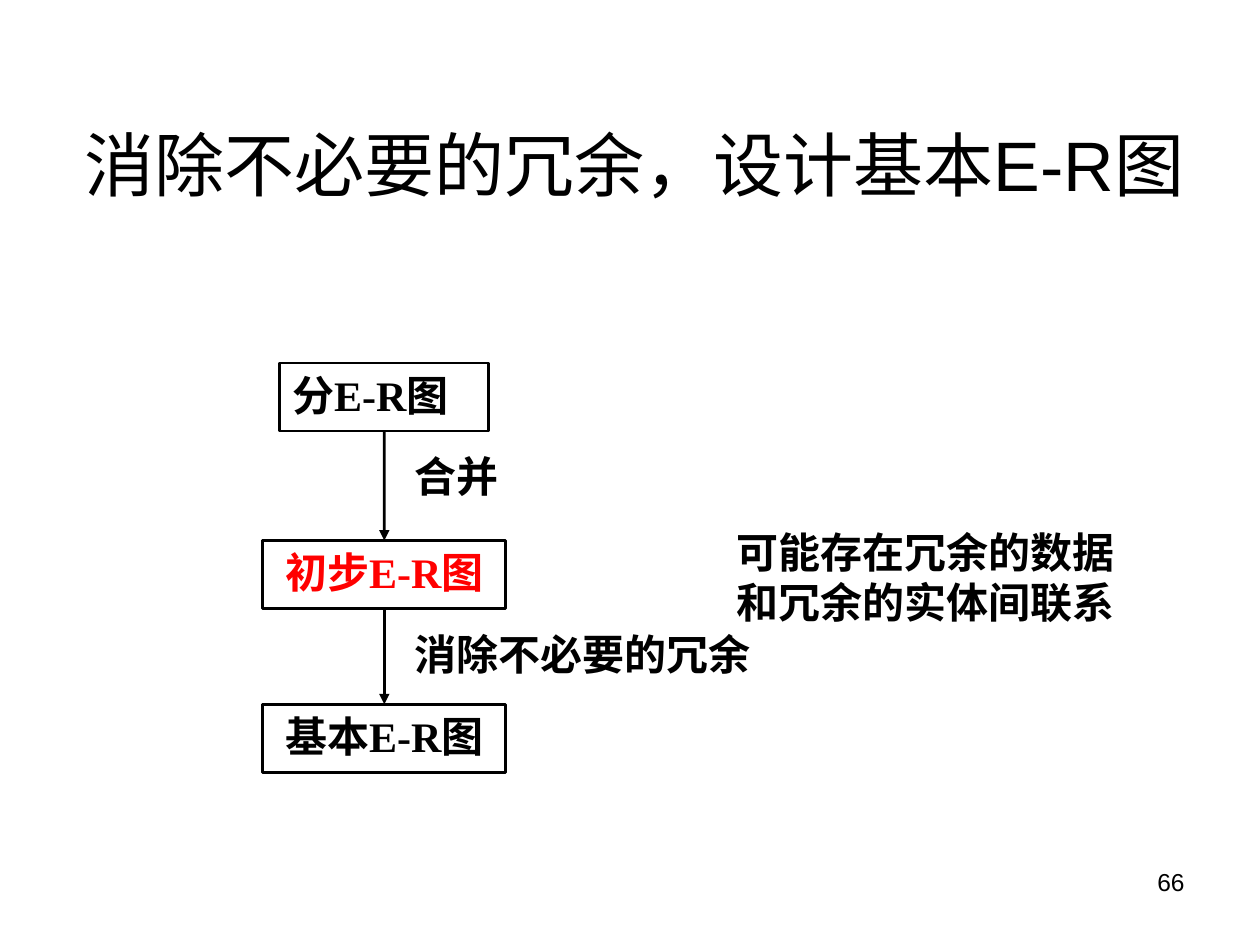
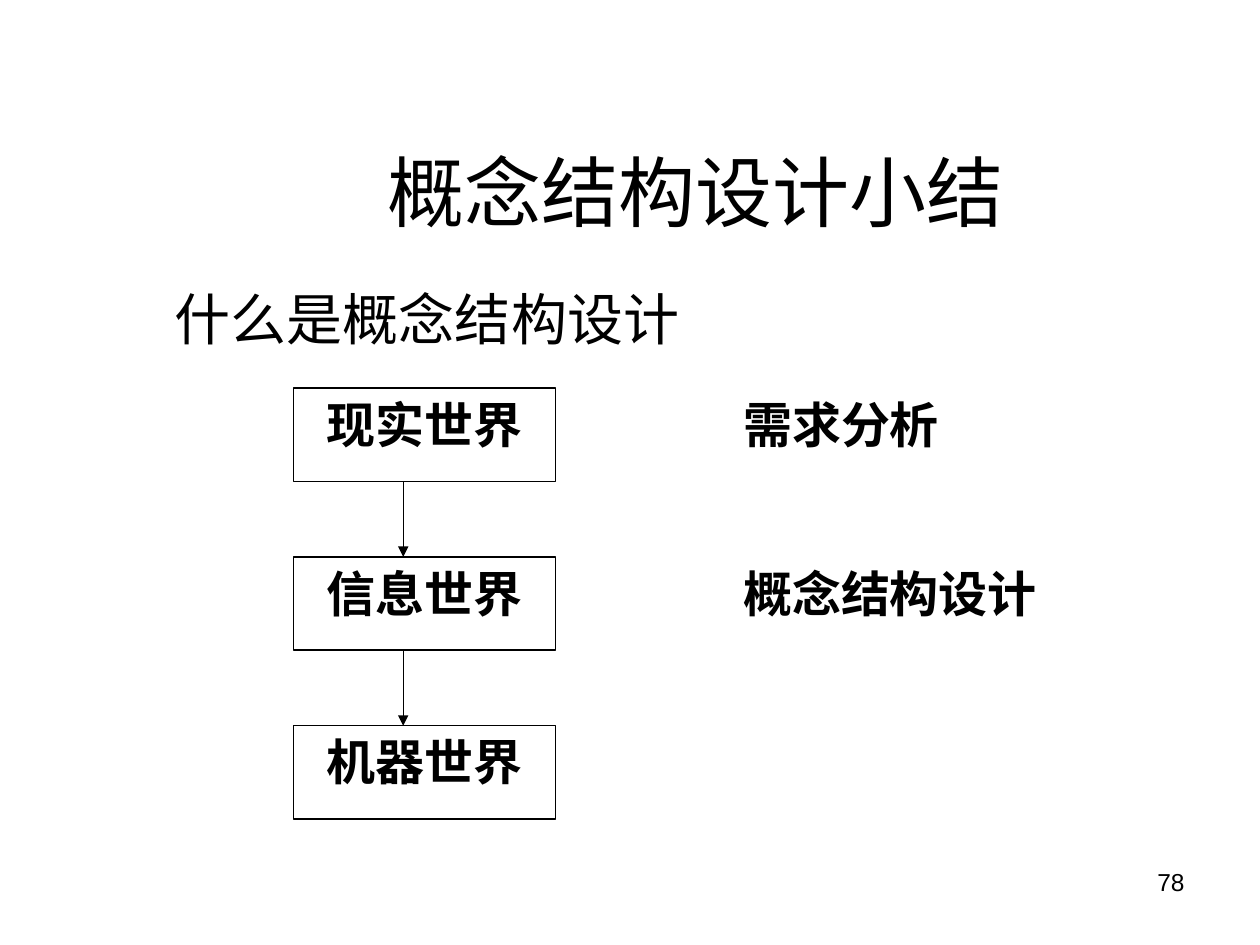
from lxml import etree
from pptx import Presentation
from pptx.dml.color import RGBColor
from pptx.enum import shapes, text
from pptx.oxml import ns
from pptx.util import Inches, Pt

BLACK = RGBColor(0, 0, 0)
RED = RGBColor(255, 0, 0)
LEFT, CENTER, RIGHT, JUSTIFY = (
    text.PP_ALIGN.LEFT, text.PP_ALIGN.CENTER, text.PP_ALIGN.RIGHT, text.PP_ALIGN.JUSTIFY)
TOP, MIDDLE, BOTTOM = (
    text.MSO_ANCHOR.TOP, text.MSO_ANCHOR.MIDDLE, text.MSO_ANCHOR.BOTTOM)
PLAIN = {"name": "Arial", "bold": False}
DIAGRAM = {"name": "Times New Roman", "bold": True}


def write(shape, lines, size, style, align=JUSTIFY, anchor=TOP, color=BLACK, wrap=True):
    frame = shape.text_frame
    frame.word_wrap = wrap
    frame.vertical_anchor = anchor
    frame.text = lines
    for paragraph in frame.paragraphs:
        paragraph.alignment = align
        for name, value in {**style, "size": Pt(size)}.items():
            setattr(paragraph.font, name, value)
        paragraph.font.color.rgb = color


def add_text(slide, box, lines, size, style, **options):
    shape = slide.shapes.add_textbox(*map(Inches, box))
    write(shape, lines, size, style, **options)
    return shape


def add_node(slide, box, label, size, line_width, align=CENTER, color=BLACK):
    node = slide.shapes.add_shape(shapes.MSO_SHAPE.RECTANGLE, *map(Inches, box))
    node.shadow.inherit = False
    node.fill.background()
    node.line.color.rgb = BLACK
    node.line.width = Pt(line_width)
    # Centred labels fill their box tightly, so they must not break
    write(node, label, size, DIAGRAM, align=align, color=color, wrap=align != CENTER)
    return node


def add_arrow(slide, x, top, bottom, line_width):
    arrow = slide.shapes.add_connector(
        shapes.MSO_CONNECTOR.STRAIGHT, *map(Inches, (x, top, x, bottom)))
    arrow.line.color.rgb = BLACK
    arrow.line.width = Pt(line_width)
    etree.SubElement(arrow.line._get_or_add_ln(), ns.qn("a:tailEnd"), type="triangle")
    etree.SubElement(arrow._element.spPr, ns.qn("a:effectLst"))
    return arrow


def add_bullet(paragraph, indent):
    properties = paragraph._p.get_or_add_pPr()
    properties.set("marL", str(Inches(indent)))
    properties.set("indent", str(-Inches(indent)))
    color = etree.SubElement(properties, ns.qn("a:buClr"))
    etree.SubElement(color, ns.qn("a:srgbClr"), val=str(BLACK))
    etree.SubElement(properties, ns.qn("a:buFont"), typeface="Arial")
    etree.SubElement(properties, ns.qn("a:buChar"), char="•")


def add_slide(presentation, title, title_box, title_size, title_anchor, number):
    slide = presentation.slides.add_slide(presentation.slide_layouts[6])
    add_text(slide, (7.17, 6.83, 2.33, 0.52), number, 14, PLAIN, align=RIGHT)
    add_text(slide, title_box, title, title_size, PLAIN, align=CENTER, anchor=title_anchor)
    return slide


def merge_flow(slide, left, top):
    """Three E-R diagram stages, joined by arrows with the step beside each."""
    center, height, line_width = left + 0.96, 0.54, 1.5
    stages = [
        ("分E-R图", 0, 1.66, JUSTIFY, BLACK),
        ("初步E-R图", 1.41, 1.93, CENTER, RED),
        ("基本E-R图", 2.71, 1.93, CENTER, BLACK),
    ]
    nodes = [
        add_node(slide, (center - width / 2, top + offset, width, height),
                 label, 24, line_width, align, color)
        for label, offset, width, align, color in stages]
    for upper, lower in zip(nodes, nodes[1:]):
        arrow = add_arrow(slide, center, top, top + height, line_width)
        arrow.begin_connect(upper, 2)
        arrow.end_connect(lower, 0)
    notes = [
        ("合并", 1.1, 0.65, 1.24, 0.43),
        ("消除不必要的冗余", 1.1, 2.06, 3.03, 0.54),
        ("可能存在冗余的数据\n和冗余的实体间联系", 3.66, 1.25, 3.25, 0.83),
    ]
    for note, x, y, width, note_height in notes:
        add_text(slide, (left + x, top + y, width, note_height), note, 24, DIAGRAM)


def world_flow(slide, left, top):
    """Three worlds in a column, with the design phase at the right."""
    width, height, pitch, line_width = 2.08, 0.74, 1.34, 0.75
    worlds = [("现实世界", "需求分析", 1.91),
              ("信息世界", "概念结构设计", 2.95),
              ("机器世界", None, 0)]
    for row, (world, phase, phase_width) in enumerate(worlds):
        y = top + row * pitch
        add_node(slide, (left, y, width, height), world, 28, line_width)
        if row:
            add_arrow(slide, left + 0.87, y - pitch + height, y, line_width)
        if phase:
            add_text(slide, (left + 3.47, y, phase_width, 0.59), phase, 28, DIAGRAM)


def redundancy_slide(presentation):
    slide = add_slide(presentation, "消除不必要的冗余，设计基本E-R图",
                      (0.35, 0.67, 9.37, 1.25), 40, MIDDLE, "66")
    merge_flow(slide, 2.09, 2.88)


def summary_slide(presentation):
    slide = add_slide(presentation, "概念结构设计小结",
                      (1.26, 0.68, 8.52, 1.25), 44, BOTTOM, "78")
    body = slide.shapes.add_textbox(*map(Inches, (1.29, 2.21, 8.5, 4.5)))
    add_bullet(body.text_frame.paragraphs[0], 0.38)
    write(body, "什么是概念结构设计", 32, PLAIN, align=LEFT)
    world_flow(slide, 2.33, 3.08)


def main():
    presentation = Presentation()
    presentation.slide_width, presentation.slide_height = Inches(10), Inches(7.5)
    redundancy_slide(presentation)
    summary_slide(presentation)
    presentation.save("out.pptx")


if __name__ == "__main__":
    main()
